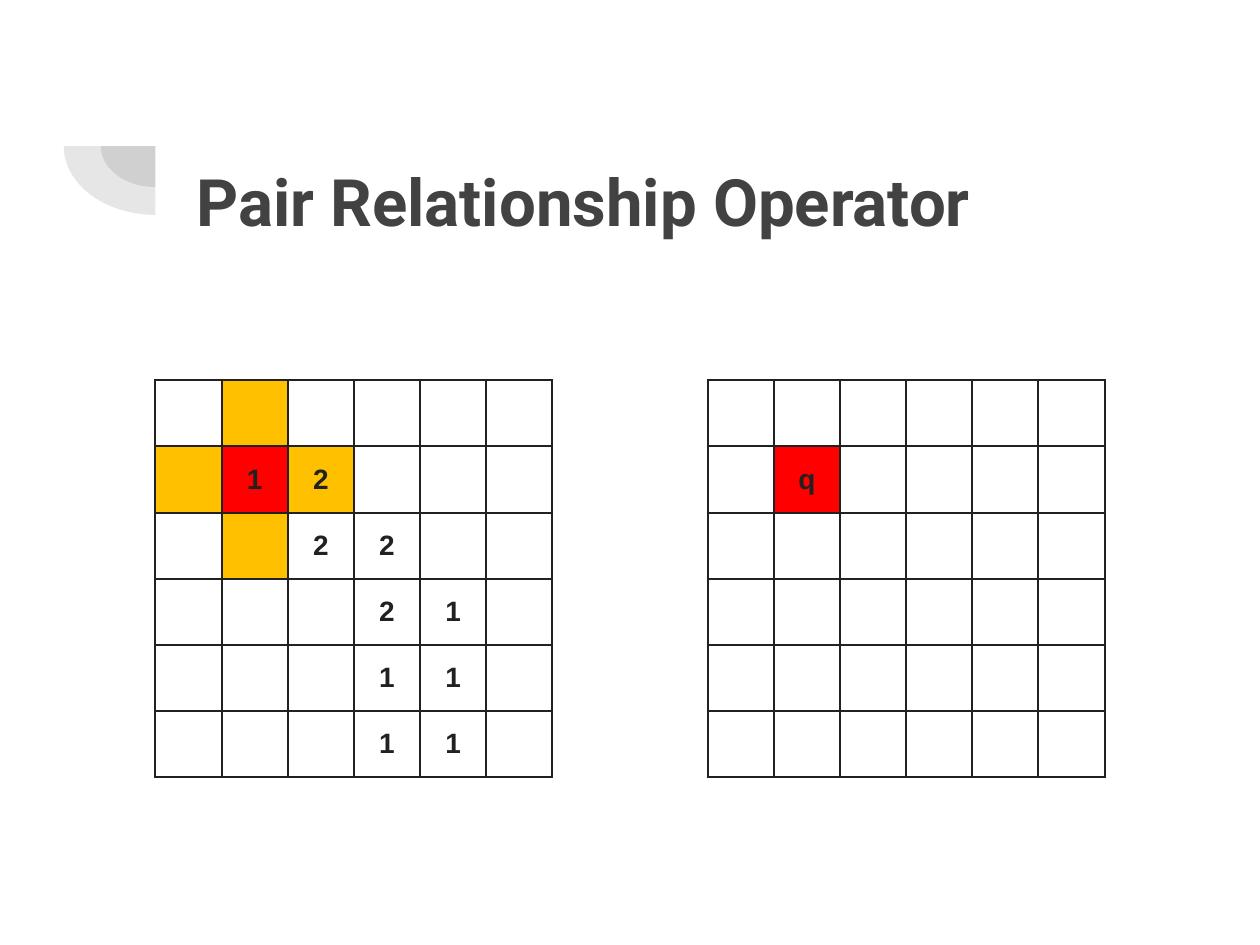
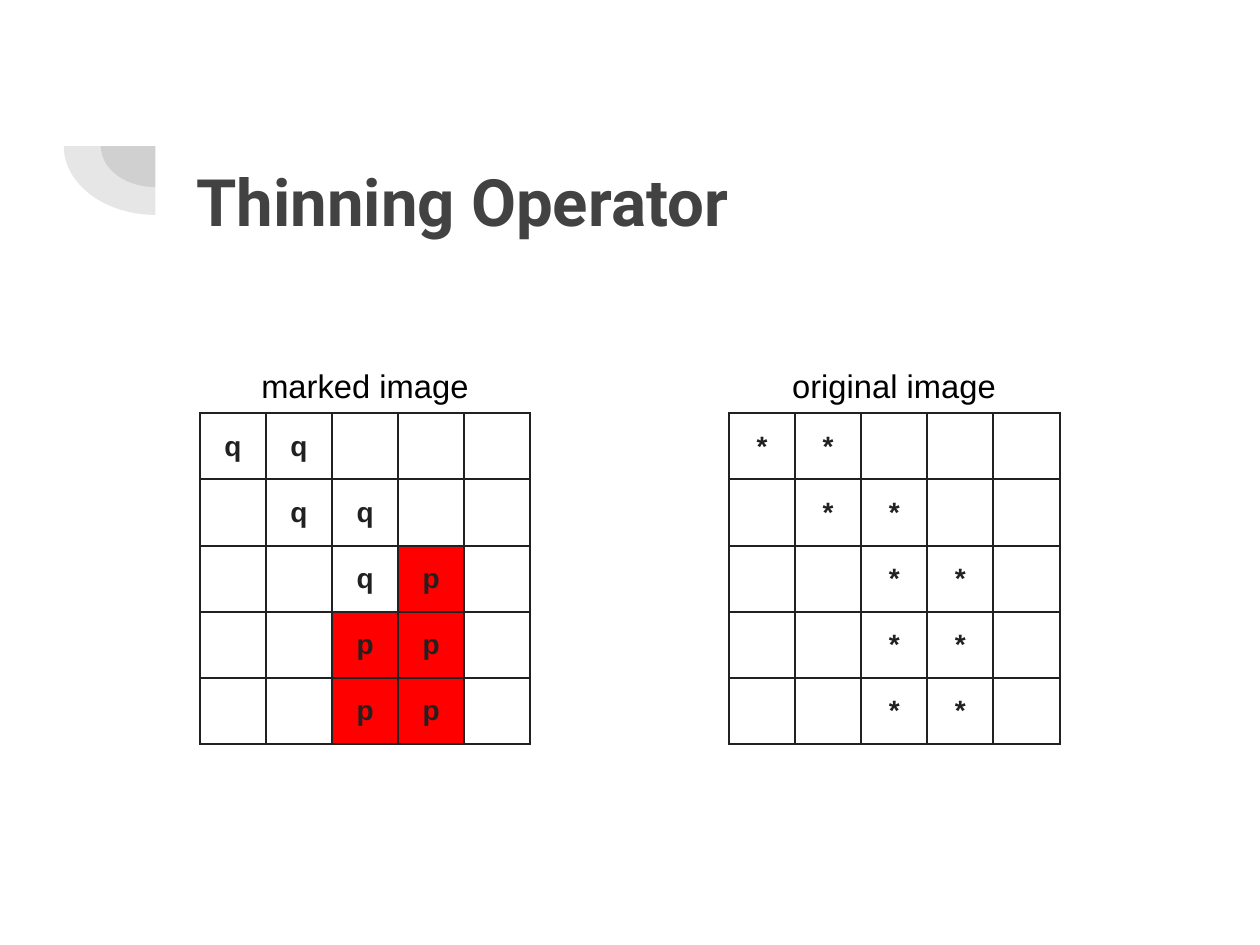
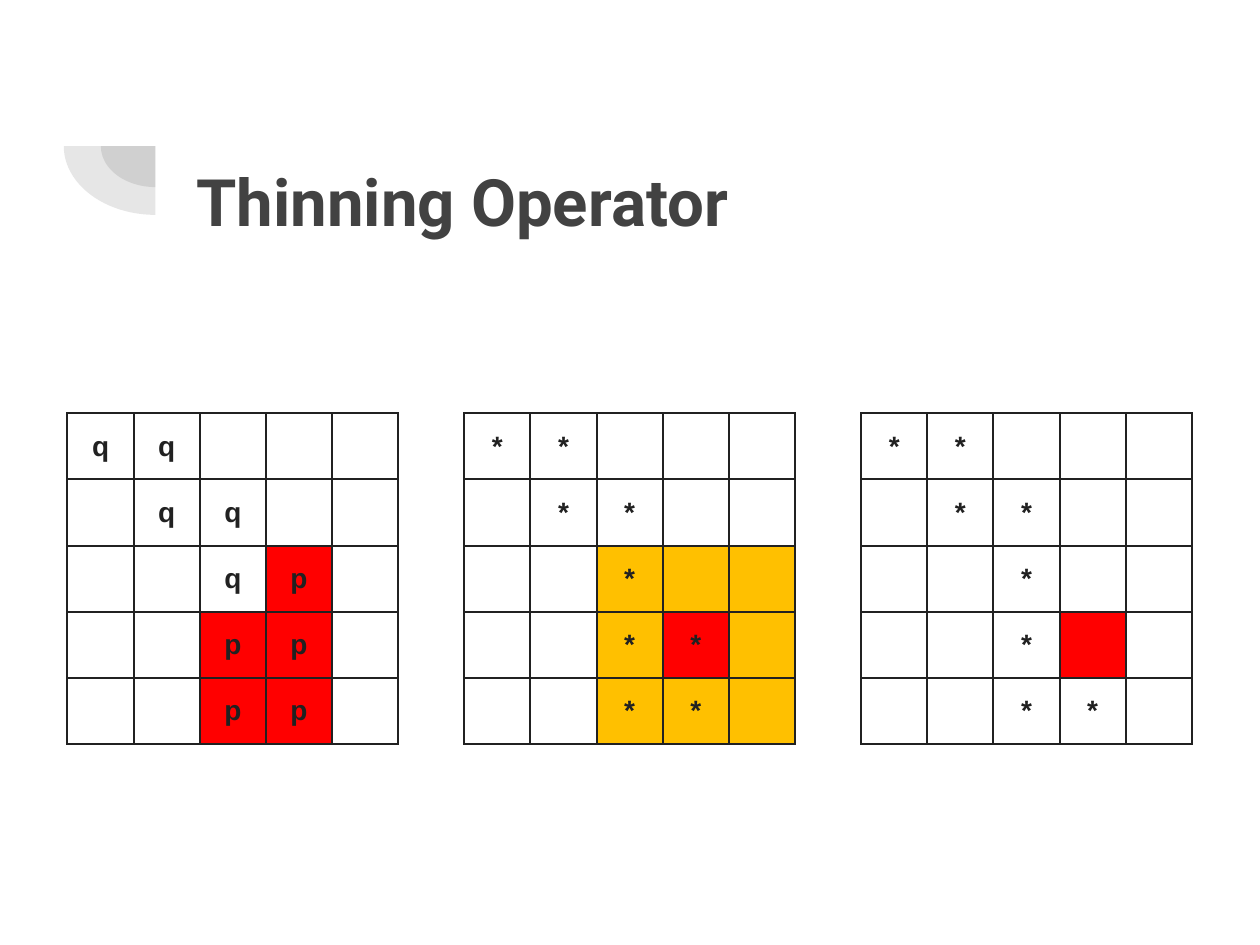
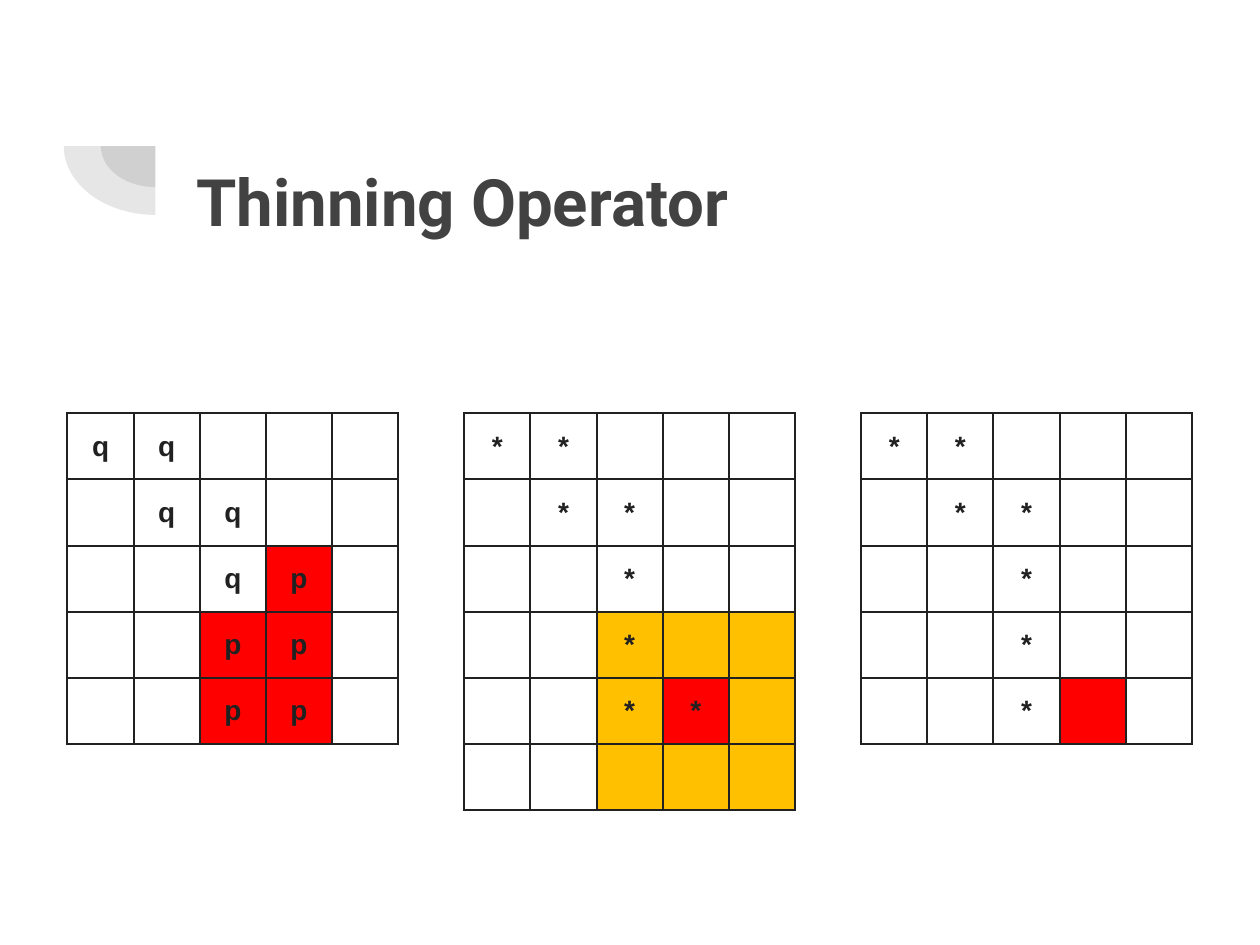
from dataclasses import dataclass

from lxml.etree import SubElement
from pptx import Presentation
from pptx.dml.color import RGBColor
from pptx.enum.shapes import MSO_SHAPE as Preset
from pptx.enum.text import MSO_ANCHOR as Anchor, MSO_AUTO_SIZE as AutoSize, PP_ALIGN as Align
from pptx.oxml.ns import qn
from pptx.slide import Slide, SlideLayout
from pptx.table import _Cell as Cell
from pptx.util import Cm, Pt

COLORS = {
    "title": "424242",
    "ink": "212121",
    "caption": "000000",
    "plain": "FFFFFF",
    "neighbor": "FFC000",
    "focus": "FF0000",
}
FILLS = {".": "plain", "n": "neighbor", "f": "focus"}
TITLE_FONT, BODY_FONT = "Roboto", "Arial"
CELL_SIDE = 1.0
CAPTION_WIDTH, CAPTION_HEIGHT, CAPTION_RISE = 4.11, 0.86, 0.84
ARC_CENTER = (2.35, 2.21)
ARC_SIZES = ((1.65, 1.24), (2.77, 2.08))


@dataclass(frozen=True)
class Grid:
    """Marks and fills, one string per row; a dot is an empty or plain cell."""
    marks: tuple[str, ...]
    fills: tuple[str, ...]
    caption: str = ""


@dataclass(frozen=True)
class Page:
    """A title and a row of grids; lengths in centimetres."""
    title: str
    left: float
    top: float
    pitch: float
    grids: tuple[Grid, ...]


# Grid contents
PAIR_COUNTS = Grid(
    ("......", ".12...", "..22..", "...21.", "...11.", "...11."),
    (".n....", "nfn...", ".n....", "......", "......", "......"),
)
PAIR_RESULT = Grid(
    ("......", ".q....", "......", "......", "......", "......"),
    ("......", ".f....", "......", "......", "......", "......"),
)
MARKED = ("qq...", ".qq..", "..qp.", "..pp.", "..pp.")
MARKED_FILLS = (".....", ".....", "...f.", "..ff.", "..ff.")
STAIRS = ("**...", ".**..")
MARKED_GRID = Grid(MARKED, MARKED_FILLS)

PAGES = (
    Page("Pair Relationship Operator", 2.35, 5.75, 8.35, (PAIR_COUNTS, PAIR_RESULT)),
    Page("Thinning Operator", 3.02, 6.25, 8, (
        Grid(MARKED, MARKED_FILLS, "marked image"),
        Grid(STAIRS + ("..**.",) * 3, (".....",) * 5, "original image"),
    )),
    Page("Thinning Operator", 1.02, 6.25, 6, (
        MARKED_GRID,
        Grid(STAIRS + ("..*..", "..**.", "..**."),
             (".....", ".....", "..nnn", "..nfn", "..nnn")),
        Grid(STAIRS + ("..*..", "..*..", "..**."),
             (".....", ".....", ".....", "...f.", ".....")),
    )),
    Page("Thinning Operator", 1.02, 6.25, 6, (
        MARKED_GRID,
        Grid(STAIRS + ("..*..", "..*..", "..**.", "....."),
             (".....", ".....", ".....", "..nnn", "..nfn", "..nnn")),
        Grid(STAIRS + ("..*..",) * 3,
             (".....", ".....", ".....", ".....", "...f.")),
    )),
)


def color(name: str) -> RGBColor:
    return RGBColor.from_string(COLORS[name])


def format_para(para, face: str, size: float, ink: str, bold: bool, align: Align) -> None:
    para.alignment = align
    font = para.font
    font.name, font.size, font.bold = face, Pt(size), bold
    font.color.rgb = color(ink)


# Shared layout: title place and corner arcs
def prepare_layout(layout: SlideLayout) -> None:
    title = layout.placeholders[0]
    title.left, title.top = Cm(2.72), Cm(1.65)
    title.width, title.height = Cm(14.66), Cm(2.77)


def move_arcs_to_layout(page: Slide, layout: SlideLayout) -> None:
    """Draw the two quarter ellipses and hand them to the layout."""
    center_x, center_y = ARC_CENTER
    for width, height in ARC_SIZES:
        arc = page.shapes.add_shape(
            Preset.PIE, Cm(center_x - width / 2), Cm(center_y - height / 2),
            Cm(width), Cm(height))
        # Angles are in units of 5/3 degree: 90 to 180 degrees
        arc.adjustments[0], arc.adjustments[1] = 54, 108
        arc.shadow.inherit = False
        arc.line.fill.background()
        arc.fill.solid()
        arc.fill.fore_color.rgb = color("title")
        tint = arc.element.spPr.find(qn("a:solidFill"))[0]
        SubElement(tint, qn("a:alpha"), val="13000")
        layout.shapes.element.append(arc.element)


def write_title(page: Slide, text: str) -> None:
    frame = page.shapes.title.text_frame
    frame.text = text
    frame.vertical_anchor = Anchor.MIDDLE
    frame.auto_size = AutoSize.NONE
    frame.margin_left = frame.margin_right = Cm(0.25)
    frame.margin_top = frame.margin_bottom = Cm(0.25)
    format_para(frame.paragraphs[0], TITLE_FONT, 28, "title", True, Align.LEFT)


# Grids
def add_borders(cell: Cell) -> None:
    properties = cell._tc.get_or_add_tcPr()
    for side in ("a:lnL", "a:lnR", "a:lnT", "a:lnB"):
        line = SubElement(properties, qn(side), w=str(Pt(1)))
        fill = SubElement(line, qn("a:solidFill"))
        SubElement(fill, qn("a:srgbClr"), val=COLORS["ink"])


def format_cell(cell: Cell, mark: str, fill: str) -> None:
    add_borders(cell)
    cell.fill.solid()
    cell.fill.fore_color.rgb = color(FILLS[fill])
    cell.vertical_anchor = Anchor.MIDDLE
    cell.margin_top = cell.margin_bottom = 0
    if mark != ".":
        cell.text = mark
    format_para(cell.text_frame.paragraphs[0], BODY_FONT, 12, "ink", True, Align.CENTER)


def add_grid(page: Slide, grid: Grid, left: float, top: float) -> None:
    rows, columns = len(grid.marks), len(grid.marks[0])
    width = columns * CELL_SIDE
    table = page.shapes.add_table(
        rows, columns, Cm(left), Cm(top), Cm(width), Cm(rows * CELL_SIDE)).table
    table.first_row = table.horz_banding = False
    for band in table.rows:
        band.height = Cm(CELL_SIDE)
    for band in table.columns:
        band.width = Cm(CELL_SIDE)
    for row, (marks, fills) in enumerate(zip(grid.marks, grid.fills)):
        for column, (mark, fill) in enumerate(zip(marks, fills)):
            format_cell(table.cell(row, column), mark, fill)
    if grid.caption:
        add_caption(page, grid.caption, left + width / 2, top - CAPTION_RISE)


def add_caption(page: Slide, text: str, center: float, top: float) -> None:
    box = page.shapes.add_textbox(
        Cm(center - CAPTION_WIDTH / 2), Cm(top), Cm(CAPTION_WIDTH), Cm(CAPTION_HEIGHT))
    frame = box.text_frame
    frame.word_wrap = True
    frame.auto_size = AutoSize.SHAPE_TO_FIT_TEXT
    frame.text = text
    format_para(frame.paragraphs[0], BODY_FONT, 14, "caption", False, Align.CENTER)


def main() -> None:
    deck = Presentation()
    deck.slide_width, deck.slide_height = Cm(19.05), Cm(14.29)
    layout = deck.slide_layouts.get_by_name("Title Only")
    prepare_layout(layout)
    for number, content in enumerate(PAGES):
        page = deck.slides.add_slide(layout)
        if number == 0:
            move_arcs_to_layout(page, layout)
        write_title(page, content.title)
        for index, grid in enumerate(content.grids):
            add_grid(page, grid, content.left + index * content.pitch, content.top)
    deck.save("out.pptx")


if __name__ == "__main__":
    main()
